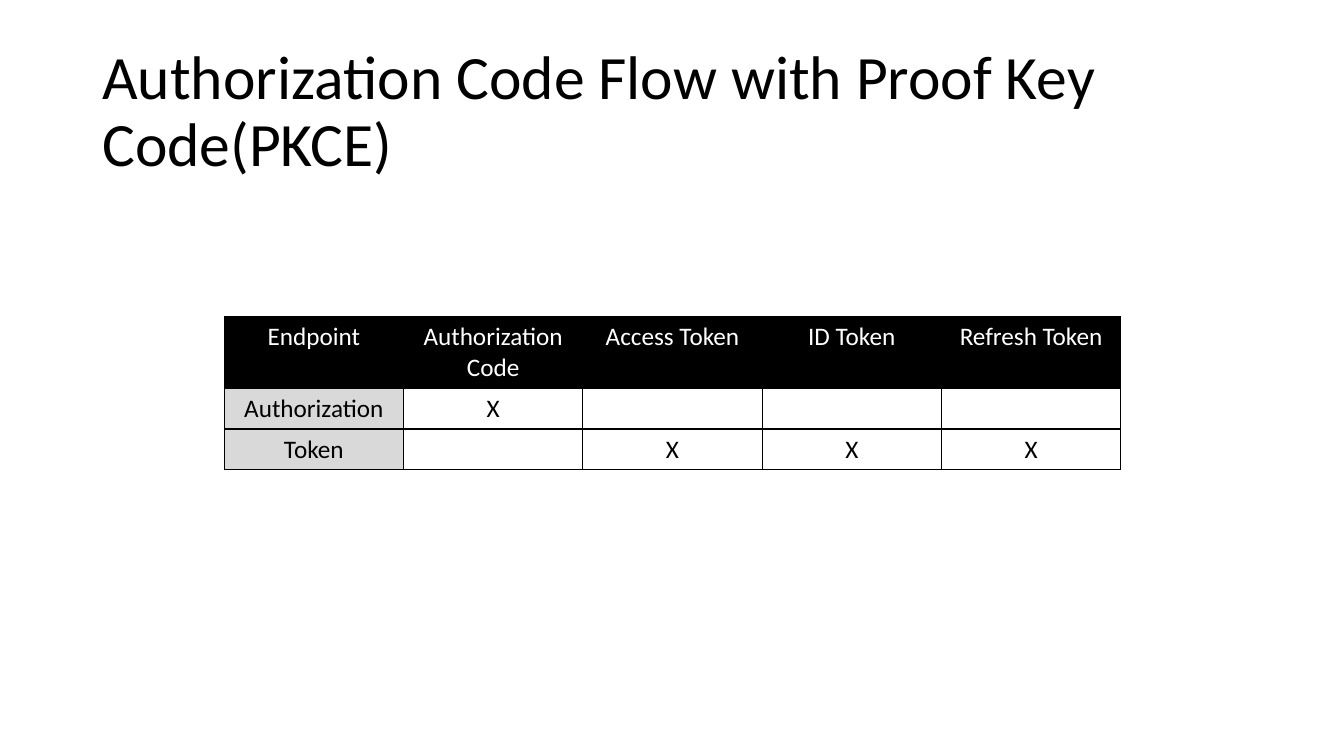
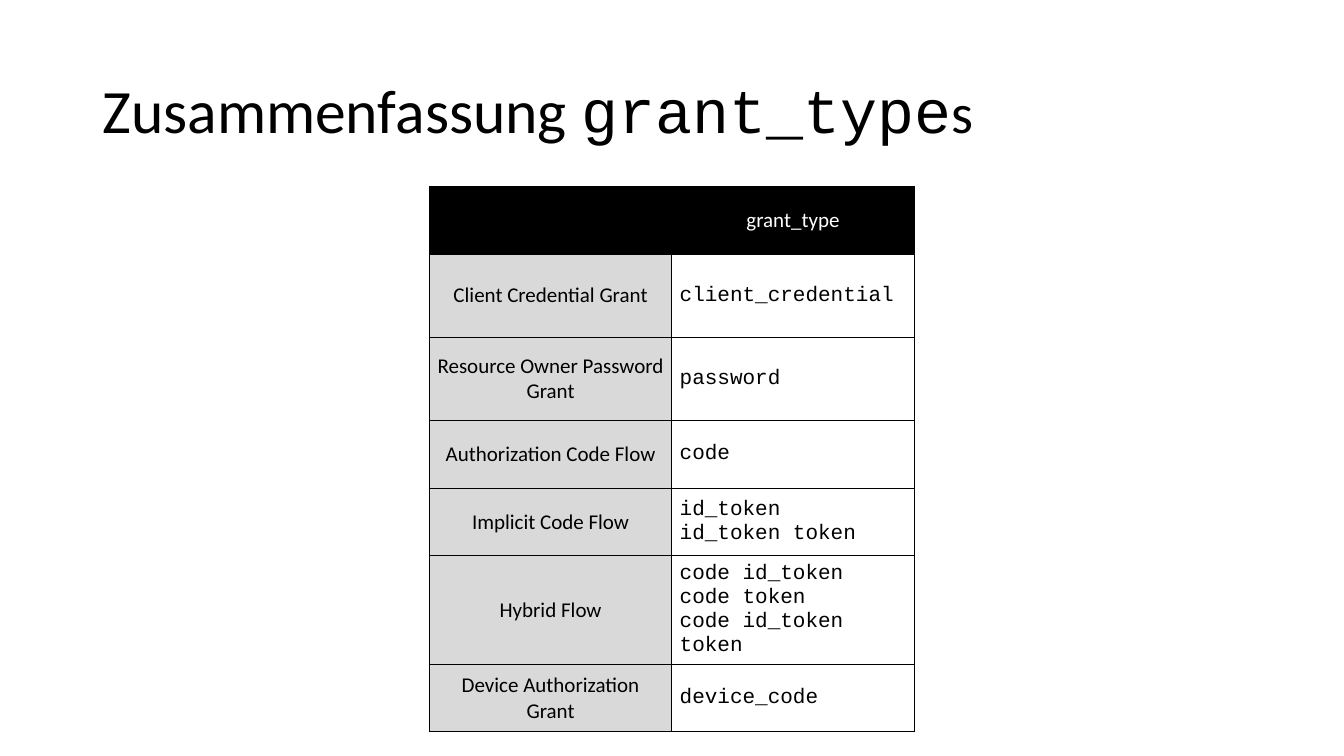
import pptx
import pptx.util
import pptx.dml.color
import pptx.enum.text
import pptx.oxml
from dataclasses import dataclass
from pptx.util import Cm, Pt

RGB = pptx.dml.color.RGBColor
ALIGN = pptx.enum.text.PP_ALIGN
ANCHOR = pptx.enum.text.MSO_ANCHOR


@dataclass(frozen=True)
class Theme:
    black: RGB = RGB(0, 0, 0)
    white: RGB = RGB(255, 255, 255)
    grey: RGB = RGB(0xD9, 0xD9, 0xD9)
    sans: str = "Calibri"
    mono: str = "Courier New"
    title_size: Pt = Pt(44)
    title_end_size: Pt = Pt(40)
    token_size: Pt = Pt(18)
    grant_size: Pt = Pt(15)
    border: Pt = Pt(1)


theme = Theme()


def add_titled_slide(runs):
    """Add a blank slide whose title is made of (text, font, size) runs."""
    slide = deck.slides.add_slide(deck.slide_layouts[6])
    title = slide.shapes.add_textbox(Cm(2.33), Cm(1.01), Cm(29.21), Cm(3.68)).text_frame
    title.word_wrap = True
    title.vertical_anchor = ANCHOR.MIDDLE
    line = title.paragraphs[0]
    line.line_spacing = 0.9
    line.font.color.rgb = theme.black
    for text, font, size in runs:
        run = line.add_run()
        run.text, run.font.name, run.font.size = text, font, size
    return slide


def add_grid(slide, left, top, column_width, row_heights, rows, size, anchor, mono_body):
    """Add a bordered table with a black header row and a grey first column."""
    columns = len(rows[0])
    grid = slide.shapes.add_table(len(rows), columns, left, top,
                                  column_width * columns, sum(row_heights)).table
    grid.first_row = grid.horz_banding = False
    for column in grid.columns:
        column.width = column_width
    for r, (height, texts) in enumerate(zip(row_heights, rows)):
        grid.rows[r].height = height
        for c, text in enumerate(texts):
            cell = grid.cell(r, c)
            cell.text = text
            cell.vertical_anchor = anchor
            is_mono = mono_body and r > 0 and c > 0
            if is_mono or anchor == ANCHOR.MIDDLE:
                cell.margin_left = cell.margin_right = Cm(0.2)
                cell.margin_top = cell.margin_bottom = Cm(0.1)
            for line in cell.text_frame.paragraphs:
                line.alignment = ALIGN.LEFT if is_mono else ALIGN.CENTER
                line.font.name = theme.mono if is_mono else theme.sans
                line.font.size = size
                line.font.color.rgb = theme.black if r else theme.white

            # Borders come before the fill in the cell properties
            for side in ("lnL", "lnR", "lnT", "lnB"):
                cell._tc.get_or_add_tcPr().append(pptx.oxml.parse_xml(
                    f'<a:{side} xmlns:a="http://schemas.openxmlformats.org/drawingml/2006/main"'
                    f' w="{theme.border}"><a:solidFill><a:srgbClr val="{theme.black}"/>'
                    f'</a:solidFill></a:{side}>'))
            if r and c:
                cell.fill.background()
            else:
                cell.fill.solid()
                cell.fill.fore_color.rgb = theme.grey if r else theme.black


deck = pptx.Presentation()
deck.slide_width, deck.slide_height = Cm(33.87), Cm(19.05)

# Tokens issued by each endpoint
pkce = add_titled_slide([
    ("Authorization Code Flow with Proof Key Code(PKCE)", theme.sans, theme.title_size)])
endpoint_tokens = [
    ("Endpoint", "Authorization Code", "Access Token", "ID Token", "Refresh Token"),
    ("Authorization", "X", "", "", ""),
    ("Token", "", "X", "X", "X"),
]
add_grid(pkce, Cm(5.65), Cm(7.98), Cm(4.52), [Cm(1.8), Cm(1.03), Cm(1.03)],
         endpoint_tokens, theme.token_size, ANCHOR.TOP, mono_body=False)

# Summary of grant types
summary = add_titled_slide([
    ("Zusammenfassung ", theme.sans, theme.title_size),
    ("grant_type", theme.mono, theme.title_size),
    ("s", theme.sans, theme.title_end_size)])
grant_types = [
    ("", "grant_type"),
    ("Client Credential Grant", "client_credential"),
    ("Resource Owner Password Grant", "password"),
    ("Authorization Code Flow", "code"),
    ("Implicit Code Flow", "id_token\nid_token token"),
    ("Hybrid Flow", "code id_token\ncode token\ncode id_token token"),
    ("Device Authorization Grant", "device_code"),
]
grant_heights = [Cm(h) for h in (1.7, 2.1, 2.1, 1.7, 1.7, 2.6, 1.7)]
add_grid(summary, Cm(10.82), Cm(4.7), Cm(6.11), grant_heights,
         grant_types, theme.grant_size, ANCHOR.MIDDLE, mono_body=True)

deck.save("out.pptx")
